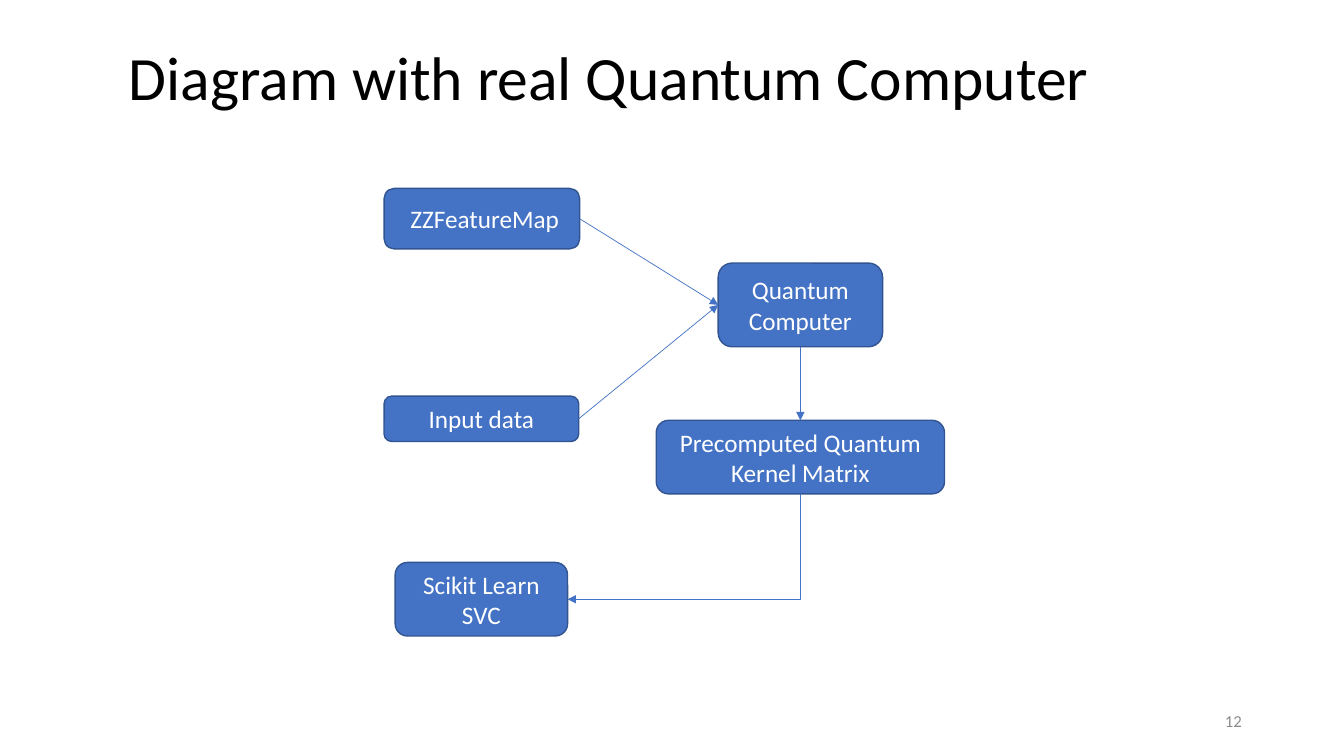
from typing import NamedTuple

from lxml import etree
from pptx import Presentation
from pptx import util as u
from pptx.dml.color import RGBColor
from pptx.enum import shapes, text
from pptx.oxml.ns import qn

WIDE, HIGH = u.Inches(13.333), u.Inches(7.5)
FONT, BLUE, EDGE = "Calibri", "4472C4", "325491"
TOP, LEFT, BOTTOM, RIGHT = range(4)


class Area(NamedTuple):
    """A rectangle in percent of the slide's size."""
    x: float
    y: float
    w: float
    h: float

    def emu(self) -> list[int]:
        sides = (WIDE, HIGH, WIDE, HIGH)
        return [round(part * side / 100) for part, side in zip(self, sides)]


class Step(NamedTuple):
    name: str
    label: str
    area: Area


class Link(NamedTuple):
    start: str
    exit: int
    end: str
    entry: int


STEPS = [
    Step("map", " ZZFeatureMap", Area(28.58, 24.93, 14.55, 8)),
    Step("data", "Input data", Area(28.58, 52.4, 14.48, 6)),
    Step("kernel", "Precomputed Quantum Kernel Matrix", Area(48.83, 55.6, 21.45, 9.73)),
    Step("svc", "Scikit Learn SVC", Area(29.4, 74.4, 12.83, 9.73)),
    Step("quantum", "Quantum Computer", Area(53.44, 34.8, 12.23, 11.07)),
]
LINKS = [
    Link("map", RIGHT, "quantum", LEFT),
    Link("data", RIGHT, "quantum", LEFT),
    Link("quantum", BOTTOM, "kernel", TOP),
    Link("kernel", BOTTOM, "svc", RIGHT),
]


def paint(code: str) -> RGBColor:
    return RGBColor.from_string(code)


def write(shape, words: str, size: int, color: str, align) -> None:
    frame = shape.text_frame
    frame.word_wrap = True
    frame.vertical_anchor = text.MSO_ANCHOR.MIDDLE
    line = frame.paragraphs[0]
    line.text = words
    line.alignment = align
    line.font.name = FONT
    line.font.size = u.Pt(size)
    line.font.color.rgb = paint(color)


def add_text(slide, area: Area, words: str, size: int, color: str, align):
    box = slide.shapes.add_textbox(*area.emu())
    write(box, words, size, color, align)
    return box


def add_step(slide, step: Step):
    box = slide.shapes.add_shape(shapes.MSO_SHAPE.ROUNDED_RECTANGLE, *step.area.emu())
    box.shadow.inherit = False
    box.fill.solid()
    box.fill.fore_color.rgb = paint(BLUE)
    box.line.color.rgb = paint(EDGE)
    box.line.width = u.Pt(1)
    write(box, step.label, 18, "FFFFFF", text.PP_ALIGN.CENTER)
    return box


def bend(line) -> None:
    """Turn a connector into one corner that runs down, then left."""
    x, y, w, h = line.left, line.top, line.width, line.height
    props = line._element.spPr
    props.find(qn("a:prstGeom")).set("prst", "bentConnector2")
    frame = props.find(qn("a:xfrm"))
    for flip in ("flipH", "flipV"):
        frame.attrib.pop(flip, None)
    frame.set("rot", str(90 * 60000))
    line.left, line.top = x + (w - h) // 2, y + (h - w) // 2
    line.width, line.height = h, w


def add_link(slide, boxes: dict, link: Link) -> None:
    corner = link.exit == BOTTOM and link.entry == RIGHT
    kind = shapes.MSO_CONNECTOR.ELBOW if corner else shapes.MSO_CONNECTOR.STRAIGHT
    line = slide.shapes.add_connector(kind, 0, 0, 0, 0)
    line.begin_connect(boxes[link.start], link.exit)
    line.end_connect(boxes[link.end], link.entry)
    if corner:
        bend(line)
    line.line.color.rgb = paint(BLUE)
    line.line.width = u.Pt(0.5)
    etree.SubElement(line.line._get_or_add_ln(), qn("a:tailEnd"), type="triangle")
    etree.SubElement(line._element.spPr, qn("a:effectLst"))


def main() -> None:
    deck = Presentation()
    deck.slide_width, deck.slide_height = WIDE, HIGH
    slide = deck.slides.add_slide(deck.slide_layouts[6])

    title = add_text(slide, Area(8.85, 0.93, 86.25, 19.33),
                     "Diagram with real Quantum Computer", 44, "000000",
                     text.PP_ALIGN.LEFT)
    title.text_frame.paragraphs[0].line_spacing = 0.9

    boxes = {step.name: add_step(slide, step) for step in STEPS}
    for link in LINKS:
        add_link(slide, boxes, link)

    add_text(slide, Area(70.65, 92.67, 22.5, 5.33), "12", 12, "8C8C8C",
             text.PP_ALIGN.RIGHT)
    deck.save("out.pptx")


if __name__ == "__main__":
    main()
